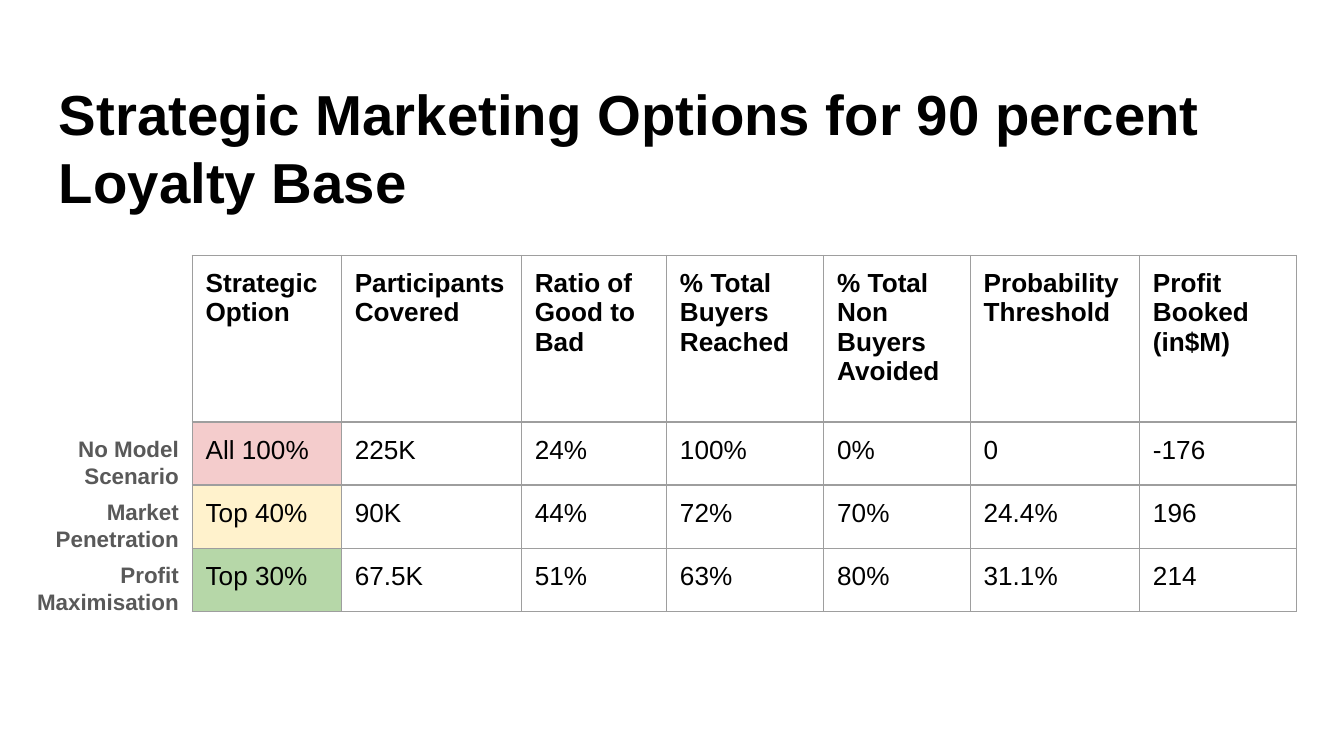
import pptx
import pptx.util
import pptx.dml.color
import pptx.enum.text
import pptx.oxml
import pptx.oxml.ns

Inches = pptx.util.Inches
Pt = pptx.util.Pt


def format_paragraph(paragraph, size, color, bold):
    for run in paragraph.runs:
        run.font.name = "Arial"
        run.font.size = Pt(size)
        run.font.bold = bold
        run.font.color.rgb = pptx.dml.color.RGBColor.from_string(color)


def add_text_box(slide, left, top, width, height):
    text_frame = slide.shapes.add_textbox(
        Inches(left), Inches(top), Inches(width), Inches(height)
    ).text_frame
    text_frame.word_wrap = True
    text_frame.margin_left = text_frame.margin_right = Inches(0.1)
    text_frame.margin_top = text_frame.margin_bottom = Inches(0.1)
    return text_frame


presentation = pptx.Presentation()
presentation.slide_width = Inches(10)
presentation.slide_height = Inches(10 * 9 / 16)
slide = presentation.slides.add_slide(presentation.slide_layouts[6])

title = add_text_box(slide, 0.34, 0.49, 9.32, 0.63)
title.text = "Strategic Marketing Options for 90 percent Loyalty Base"
format_paragraph(title.paragraphs[0], 30.2, "000000", True)

table_rows = [
    ["Strategic Option", "Participants Covered", "Ratio of Good to Bad",
     "% Total Buyers Reached", "% Total Non Buyers Avoided",
     "Probability Threshold", "Profit Booked (in$M)"],
    ["All 100%", "225K", "24%", "100%", "0%", "0", "-176"],
    ["Top 40%", "90K", "44%", "72%", "70%", "24.4%", "196"],
    ["Top 30%", "67.5K", "51%", "63%", "80%", "31.1%", "214"],
]
column_widths = [1.11, 1.34, 1.08, 1.17, 1.09, 1.26, 1.17]
row_heights = [1.24, 0.47, 0.47, 0.47]
option_fills = {1: "F4CCCC", 2: "FFF2CC", 3: "B6D7A8"}

table = slide.shapes.add_table(
    len(row_heights), len(column_widths), Inches(1.43), Inches(1.9),
    Inches(sum(column_widths)), Inches(sum(row_heights))
).table
table.horz_banding = False
for column, width in zip(table.columns, column_widths):
    column.width = Inches(width)
for row, height in zip(table.rows, row_heights):
    row.height = Inches(height)

for row_index, values in enumerate(table_rows):
    for column_index, value in enumerate(values):
        cell = table.cell(row_index, column_index)
        cell.margin_left = cell.margin_right = Inches(0.1)
        cell.margin_top = cell.margin_bottom = Inches(0.1)
        cell.text_frame.text = value
        format_paragraph(cell.text_frame.paragraphs[0], 14, "000000", row_index == 0)
        if column_index == 0 and row_index in option_fills:
            cell.fill.solid()
            cell.fill.fore_color.rgb = pptx.dml.color.RGBColor.from_string(
                option_fills[row_index])
        else:
            cell.fill.background()
        properties = cell._tc.get_or_add_tcPr()
        for position, side in enumerate(["lnL", "lnR", "lnT", "lnB"]):
            properties.insert(position, pptx.oxml.parse_xml(
                f'<a:{side} {pptx.oxml.ns.nsdecls("a")} w="{Pt(0.75)}">'
                f'<a:solidFill><a:srgbClr val="9E9E9E"/></a:solidFill></a:{side}>'))

labels = add_text_box(slide, 0.06, 3.14, 1.37, 1.53)
labels.text = "No Model Scenario\nMarket Penetration\nProfit Maximisation"
for index, paragraph in enumerate(labels.paragraphs):
    paragraph.alignment = pptx.enum.text.PP_ALIGN.RIGHT
    paragraph.space_before = Pt(5 if index else 0)
    format_paragraph(paragraph, 12, "595959", True)

presentation.save("out.pptx")
